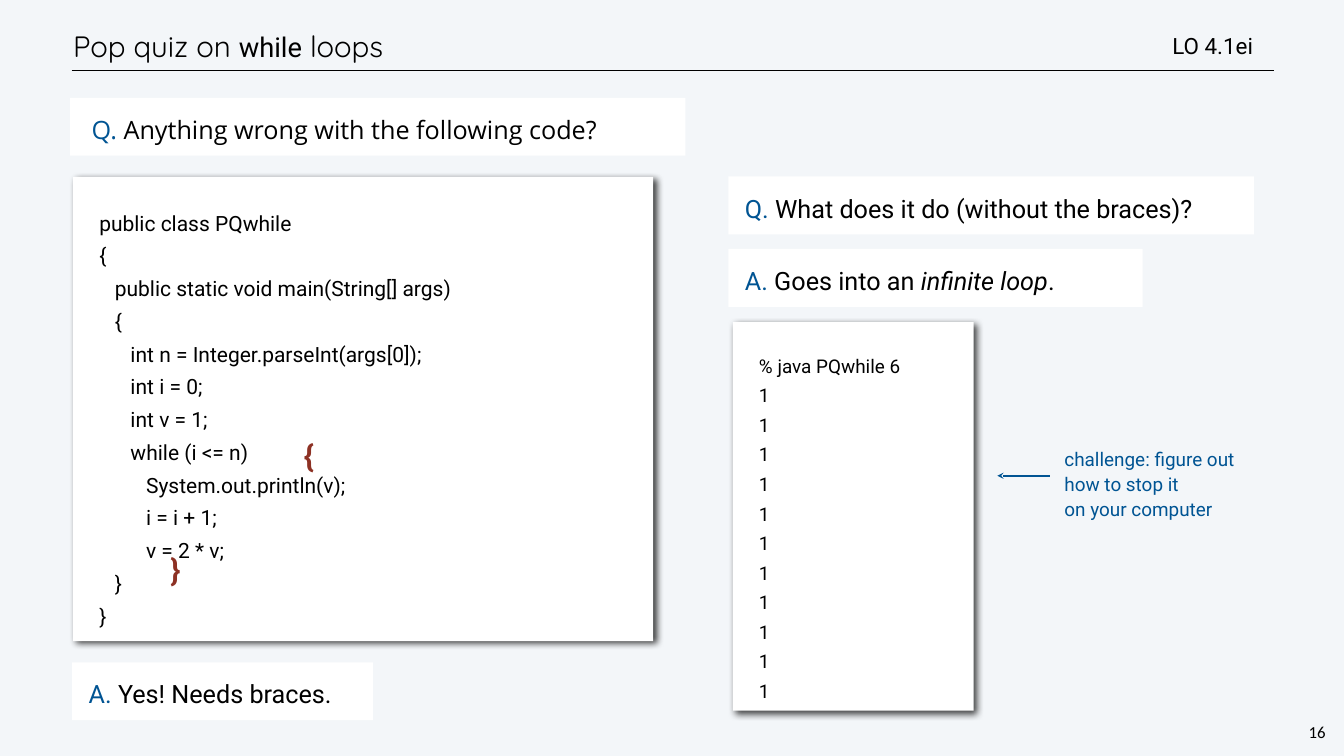
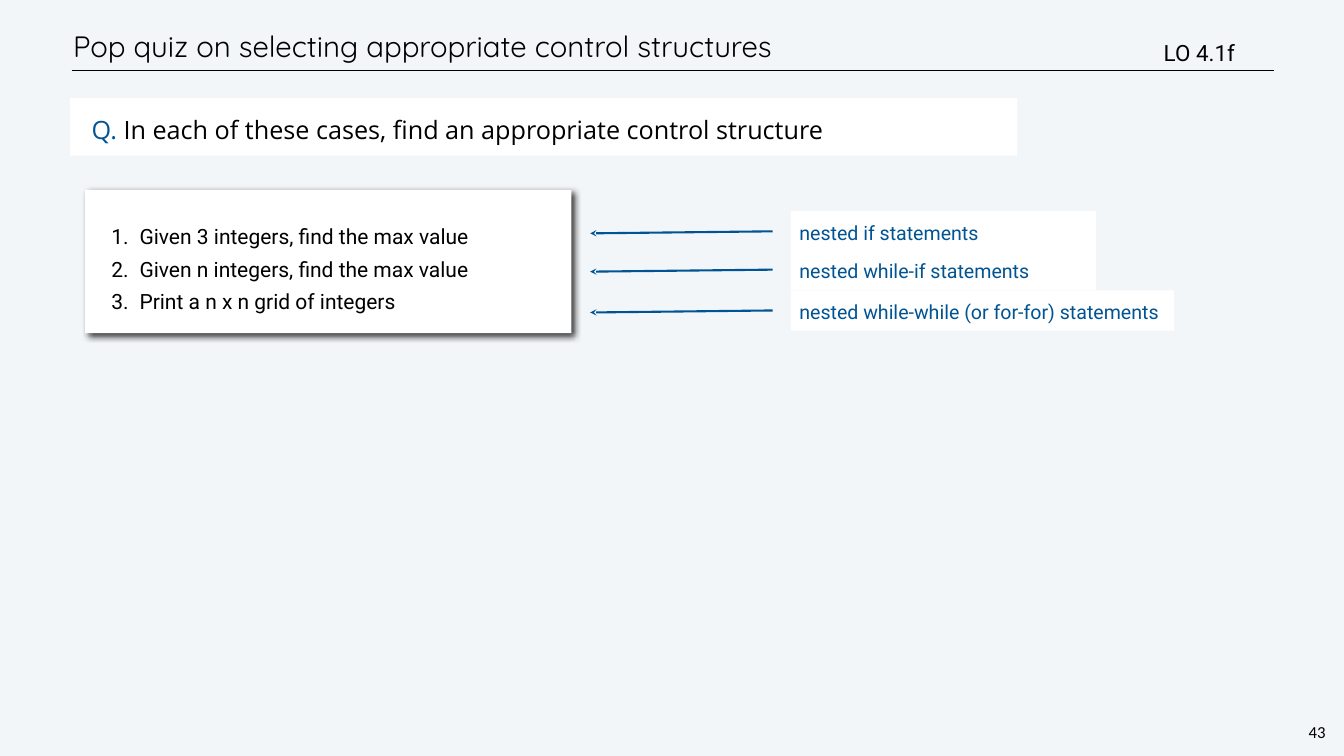
"""Build two pop quiz slides on loops and control structures."""
import pptx
import pptx.dml.color
import pptx.enum.shapes
import pptx.enum.text
import pptx.oxml.ns
import pptx.util
from lxml import etree

INK, BLUE, RED, WHITE, PAPER = "000000", "005493", "8D3124", "FFFFFF", "F3F6F9"
TITLE_FONT, QUESTION_FONT, BODY_FONT, NUMBER_FONT = "Quicksand", "Open Sans", "Roboto", "Calibri"
COLUMNS, ROWS = 80, 45
ANCHOR = pptx.enum.text.MSO_ANCHOR


def color(value):
    return pptx.dml.color.RGBColor.from_string(value)


def add_element(parent, tag, **attributes):
    return etree.SubElement(parent, pptx.oxml.ns.qn(tag), attributes)


class Deck:
    def __init__(self):
        self.presentation = pptx.Presentation()
        self.presentation.slide_width = pptx.util.Inches(26.67)
        self.presentation.slide_height = pptx.util.Inches(15)
        self.slide = None

    def place(self, *lengths):
        units = (self.presentation.slide_width / COLUMNS,
                 self.presentation.slide_height / ROWS)
        return [round(length * units[index % 2]) for index, length in enumerate(lengths)]

    def new_slide(self, title, number, objective, objective_at):
        self.slide = self.presentation.slides.add_slide(self.presentation.slide_layouts[6])
        background = self.slide.background.fill
        background.solid()
        background.fore_color.rgb = color(PAPER)
        self.line((4.26, 4.2), (75.81, 4.2), INK, 1)
        self.text((4.17, 1.26, 67.86, 2.97), [title], 42, font=TITLE_FONT,
                  spacing=pptx.util.Pt(50), anchor=ANCHOR.MIDDLE)
        self.text((77.76, 42.87, 1.29, 1.41), [[number]], 24, font=NUMBER_FONT, inset=0.04,
                  spacing=pptx.util.Pt(28), grow=True, wrap=False,
                  align=pptx.enum.text.PP_ALIGN.CENTER)
        self.text((*objective_at, 8.97, 1.95), [[objective]], 32,
                  anchor=ANCHOR.MIDDLE, grow=True)

    def text(self, box, paragraphs, size, ink=INK, font=BODY_FONT, fill=None, inset=0.06,
             spacing=1.0, margin=0, indent=0, numbered=False, anchor=ANCHOR.TOP,
             align=pptx.enum.text.PP_ALIGN.LEFT, wrap=True, grow=False):
        if fill:
            shape = self.slide.shapes.add_shape(
                pptx.enum.shapes.MSO_SHAPE.RECTANGLE, *self.place(*box))
            shape.shadow.inherit = False
            shape.fill.solid()
            shape.fill.fore_color.rgb = color(fill)
            shape.line.fill.background()
        else:
            shape = self.slide.shapes.add_textbox(*self.place(*box))
        frame = shape.text_frame
        frame.word_wrap = wrap
        sizing = pptx.enum.text.MSO_AUTO_SIZE
        frame.auto_size = sizing.SHAPE_TO_FIT_TEXT if grow else sizing.NONE
        frame.vertical_anchor = anchor
        frame.margin_left = frame.margin_right = pptx.util.Inches(inset)
        frame.margin_top = frame.margin_bottom = pptx.util.Inches(inset)
        for index, runs in enumerate(paragraphs):
            paragraph = frame.add_paragraph() if index else frame.paragraphs[0]
            properties = paragraph._p.get_or_add_pPr()
            properties.set("marL", str(pptx.util.Inches(margin)))
            properties.set("indent", str(pptx.util.Inches(indent)))
            if numbered:
                add_element(properties, "a:buAutoNum", type="arabicPeriod")
            paragraph.alignment = align
            paragraph.line_spacing = spacing
            for part in runs:
                words, changes = part if isinstance(part, tuple) else (part, {})
                run = paragraph.add_run()
                run.text = words
                run.font.name = changes.get("font", font)
                run.font.size = pptx.util.Pt(changes.get("size", size))
                run.font.color.rgb = color(changes.get("ink", ink))
                run.font.bold = changes.get("bold", False)
                run.font.italic = changes.get("italic", False)
        return shape

    def statement(self, left, top, width, letter, runs, font=BODY_FONT, indent=0):
        label = (letter + ". ", {"ink": BLUE})
        self.text((left, top, width, 3.45), [[label, *runs]], 36, font=font, fill=WHITE,
                  inset=0.33, spacing=pptx.util.Pt(43), indent=indent)

    def question(self, width, words):
        self.statement(4.17, 5.82, width, "Q", [words], QUESTION_FONT, 0.1)

    def card(self, box, lines, size, margin=0.01, indent=0, numbered=False):
        shape = self.text(box, [[line] for line in lines], size, fill=WHITE, inset=0.51,
                          spacing=1.3, margin=margin, indent=indent, numbered=numbered)
        effects = shape._element.spPr.find(pptx.oxml.ns.qn("a:effectLst"))
        shadow = add_element(effects, "a:outerShdw", blurRad=str(pptx.util.Pt(10)),
                             dist=str(pptx.util.Pt(6)), dir="2700000", rotWithShape="0")
        tone = add_element(shadow, "a:srgbClr", val=INK)
        add_element(tone, "a:alpha", val="75000")

    def brace(self, left, top, mark):
        self.text((left, top, 1.02, 2.55), [[(mark, {"bold": True})]], 44, RED,
                  spacing=1.3, margin=0.01, wrap=False, grow=True)

    def line(self, start, end, ink, width):
        connector = self.slide.shapes.add_connector(
            pptx.enum.shapes.MSO_CONNECTOR.STRAIGHT, *self.place(*start, *end))
        connector.line.color.rgb = color(ink)
        connector.line.width = pptx.util.Pt(width)
        add_element(connector._element.spPr, "a:effectLst")
        return connector

    def arrow(self, start, end):
        connector = self.line(start, end, BLUE, 3)
        add_element(connector.line._get_or_add_ln(), "a:tailEnd", type="stealth")


PROGRAM = """public class PQwhile
{
   public static void main(String[] args)
   {
      int n = Integer.parseInt(args[0]);
      int i = 0;
      int v = 1;
      while (i <= n)
         System.out.println(v);
         i = i + 1;
         v = 2 * v;
   }
}"""


def while_quiz(deck):
    title = ["Pop quiz on ", ("while", {"font": BODY_FONT, "size": 39}), " loops"]
    deck.new_slide(title, "16", "LO 4.1ei", (69.6, 1.74))
    deck.question(36.63, "Anything wrong with the following code?")
    deck.card((4.35, 10.53, 34.53, 27.63), PROGRAM.split("\n"), 30)
    deck.statement(43.35, 10.5, 31.29, "Q", ["What does it do (without the braces)?"])
    deck.statement(43.35, 14.82, 24.66, "A",
                   ["Goes into an ", ("infinite loop", {"italic": True}), "."])
    deck.statement(4.29, 39.42, 17.91, "A", ["Yes! Needs braces."])
    deck.brace(17.88, 25.17, "{")
    deck.brace(9.93, 31.95, "}")
    deck.card((43.62, 19.17, 14.34, 23.13), ["% java PQwhile 6"] + ["1"] * 11, 27)
    challenge = ["challenge: figure out", "how to stop it", "on your computer"]
    deck.text((62.91, 26.31, 12.3, 4.59), [[line] for line in challenge], 27, BLUE,
              spacing=1.1, margin=0.09, wrap=False, grow=True)
    deck.arrow((62.49, 28.32), (59.37, 28.32))


def structure_quiz(deck):
    deck.new_slide(["Pop quiz on selecting appropriate control structures"],
                   "43", "LO 4.1f", (69.09, 2.16))
    deck.question(56.37, "In each of these cases, find an appropriate control structure")
    cases = ["Given 3 integers, find the max value",
             "Given n integers, find the max value",
             "Print a n x n grid of integers"]
    deck.card((5.07, 11.31, 28.95, 8.52), cases, 30, 0.57, -0.56, True)
    answers = [("nested if statements", 12.57, 18.18),
               ("nested while-if statements", 14.85, 18.18),
               ("nested while-while (or for-for) statements", 17.28, 22.8)]
    for words, top, width in answers:
        deck.arrow((45.99, top + 1.2), (35.13, top + 1.32))
        deck.text((47.07, top, width, 2.4), [[words]], 28, BLUE, fill=WHITE, inset=0.17,
                  spacing=pptx.util.Pt(35), grow=True)


def main():
    deck = Deck()
    while_quiz(deck)
    structure_quiz(deck)
    deck.presentation.save("out.pptx")


if __name__ == "__main__":
    main()
